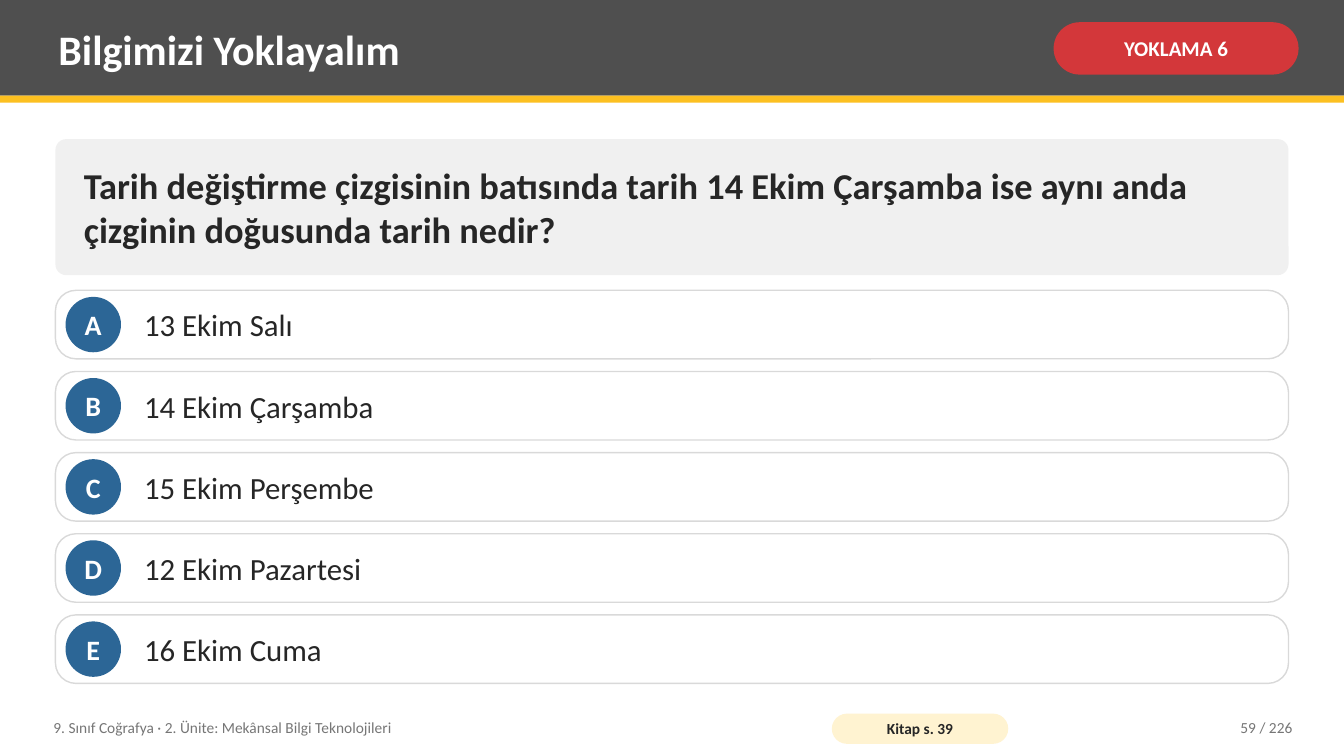
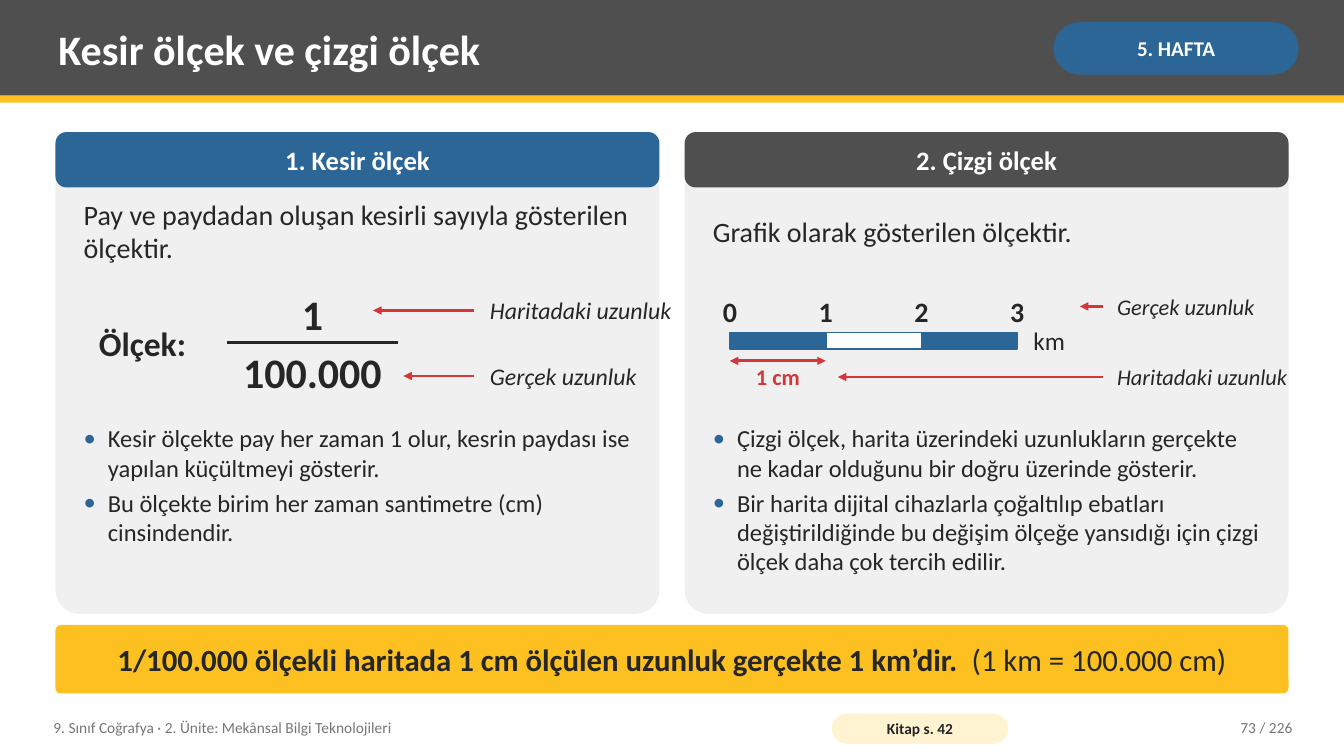
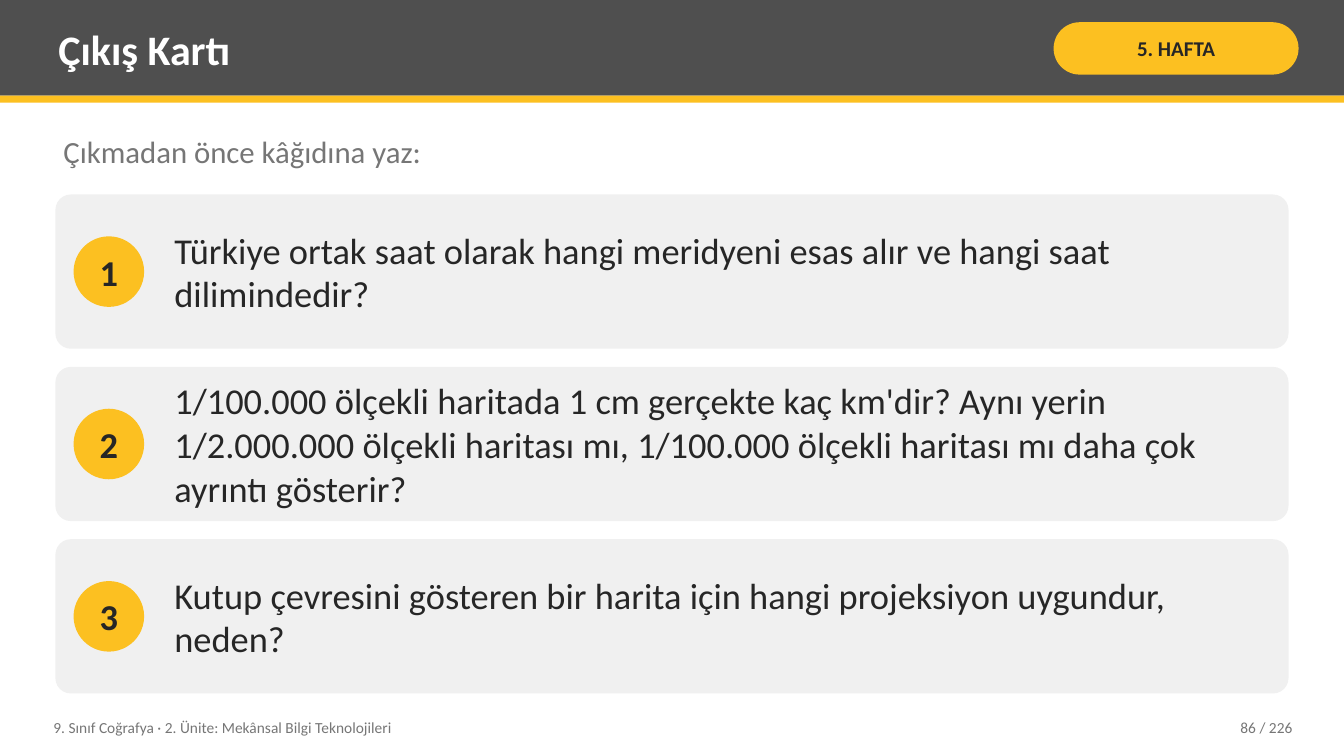
from lxml import etree
from pptx import Presentation
from pptx.dml.color import RGBColor
from pptx.enum.shapes import MSO_CONNECTOR, MSO_SHAPE
from pptx.enum.text import MSO_ANCHOR, MSO_AUTO_SIZE, PP_ALIGN
from pptx.oxml.ns import qn
from pptx.util import Inches, Pt

RECT, ROUND, OVAL = MSO_SHAPE.RECTANGLE, MSO_SHAPE.ROUNDED_RECTANGLE, MSO_SHAPE.OVAL
LINE = MSO_CONNECTOR.STRAIGHT
LEFT, MID, RIGHT = PP_ALIGN.LEFT, PP_ALIGN.CENTER, PP_ALIGN.RIGHT
TOP, CENTER, BOTTOM = MSO_ANCHOR.TOP, MSO_ANCHOR.MIDDLE, MSO_ANCHOR.BOTTOM
FIXED = MSO_AUTO_SIZE.NONE

rgb = RGBColor.from_string
FONT = "Calibri"
INK, DARK, GREY, PALE = "262626", "4F4F4F", "767676", "F0F0F0"
RULE, WHITE, CREAM = "D9D9D9", "FFFFFF", "FFF3D1"
BLUE, GOLD, RED = "2C6696", "FCC021", "D3373A"
EDGE, WIDE = 0.55, 12.23
TOTAL = 226


def box(slide, kind, at, fill=None, round=None, line=None, width=1):
    """Add a preset shape, or a text box when kind is None."""
    place = [Inches(n) for n in at]
    if kind is None:
        return slide.shapes.add_textbox(*place)
    shape = slide.shapes.add_shape(kind, *place)
    shape.shadow.inherit = False
    shape.fill.solid()
    shape.fill.fore_color.rgb = rgb(fill)
    if line:
        shape.line.color.rgb = rgb(line)
        shape.line.width = Pt(width)
    else:
        shape.line.fill.background()
    if round is not None:
        shape.adjustments[0] = round
    return shape


def write(shape, runs, size, color=INK, bold=False, italic=False,
          align=LEFT, anchor=CENTER, inset=(0.08, 0.04), para=None):
    """Set up the frame and add runs (a string, or text and bold pairs)."""
    frame = shape.text_frame
    frame.word_wrap = True
    frame.auto_size = FIXED
    frame.vertical_anchor = anchor
    frame.margin_left = frame.margin_right = Inches(inset[0])
    frame.margin_top = frame.margin_bottom = Inches(inset[1])
    para = para or frame.paragraphs[0]
    para.alignment = align
    para.space_before = Pt(0)
    for text, heavy in [(runs, bold)] if isinstance(runs, str) else runs:
        run = para.add_run()
        run.text = text
        run.font.name = FONT
        run.font.size = Pt(size)
        run.font.bold = heavy
        run.font.italic = italic
        run.font.color.rgb = rgb(color)


prs = Presentation()
prs.slide_width, prs.slide_height = Inches(13.33), Inches(7.5)
ONE, TWO = prs.slide_layouts[5], prs.slide_layouts[3]

# Shared frame: bands, title, badge and footer
decks = [
    (ONE, "Bilgimizi Yoklayalım", "YOKLAMA 6", RED, WHITE, "Kitap s. 39", 59),
    (TWO, "Kesir ölçek ve çizgi ölçek", "5. HAFTA", BLUE, WHITE, "Kitap s. 42", 73),
    (ONE, "Çıkış Kartı", "5. HAFTA", GOLD, INK, None, 86),
]
slides = []
for layout, name, badge, fill, color, book, page in decks:
    slide = prs.slides.add_slide(layout)
    slides.append(slide)
    box(slide, RECT, (0, 0, 13.33, 0.95), DARK)
    box(slide, RECT, (0, 0.95, 13.33, 0.07), GOLD)

    title = slide.shapes.title
    title.left, title.top = Inches(0.5), Inches(0.07)
    title.width, title.height = Inches(9.75), Inches(0.82)
    write(title, name, 30, WHITE, bold=True)
    slide.shapes.element.append(title.element)  # bring in front of the bands

    pill = box(slide, ROUND, (10.45, 0.22, 2.43, 0.52), fill, 0.5)
    write(pill, badge, 15, color, bold=True, align=MID, inset=(0.05, 0.02))

    unit = box(slide, None, (0.45, 7.04, 7.6, 0.36))
    write(unit, "9. Sınıf Coğrafya · 2. Ünite: Mekânsal Bilgi Teknolojileri", 11, GREY)
    if book:
        pill = box(slide, ROUND, (8.25, 7.08, 1.75, 0.3), CREAM, 0.5)
        write(pill, book, 11, bold=True, align=MID, inset=(0.04, 0))
    count = box(slide, None, (11.3, 7.04, 1.6, 0.36))
    write(count, f"{page} / {TOTAL}", 11, GREY, align=RIGHT)

quiz, scale, leave = slides

# Slide 1: question and five options
ask = box(quiz, ROUND, (EDGE, 1.38, WIDE, 1.35), PALE, 0.08)
write(ask, "Tarih değiştirme çizgisinin batısında tarih 14 Ekim Çarşamba ise aynı anda "
      "çizginin doğusunda tarih nedir?", 26, bold=True, inset=(0.25, 0.08))

picks = ["13 Ekim Salı", "14 Ekim Çarşamba", "15 Ekim Perşembe",
         "12 Ekim Pazartesi", "16 Ekim Cuma"]
high, disc = 0.68, 0.55
step = (6.1 - 2.88) / (len(picks) - 1)
for i, pick in enumerate(picks):
    top = 2.88 + i * step
    box(quiz, ROUND, (EDGE, top, WIDE, high), WHITE, 0.3, RULE)
    mark = box(quiz, OVAL, (0.65, top + (high - disc) / 2, disc, disc), BLUE)
    write(mark, "ABCDE"[i], 20, WHITE, bold=True, align=MID, inset=(0, 0))
    write(box(quiz, None, (1.35, top, 11.23, high)), pick, 22)

# Slide 2: two cards with intro and list
cards = [
    (EDGE, BLUE, "1. Kesir ölçek", "Pay ve paydadan oluşan kesirli sayıyla gösterilen ölçektir.",
     ["Kesir ölçekte pay her zaman 1 olur, kesrin paydası ise yapılan küçültmeyi gösterir.",
      "Bu ölçekte birim her zaman santimetre (cm) cinsindendir."]),
    (6.79, DARK, "2. Çizgi ölçek", "Grafik olarak gösterilen ölçektir.",
     ["Çizgi ölçek, harita üzerindeki uzunlukların gerçekte ne kadar olduğunu bir doğru "
      "üzerinde gösterir.",
      "Bir harita dijital cihazlarla çoğaltılıp ebatları değiştirildiğinde bu değişim ölçeğe "
      "yansıdığı için çizgi ölçek daha çok tercih edilir."]),
]
for i, (left, fill, head, intro, points) in enumerate(cards):
    box(scale, ROUND, (left, 1.31, 5.99, 4.78), PALE, 0.05)
    bar = box(scale, ROUND, (left, 1.31, 5.99, 0.55), fill, 0.2)
    write(bar, head, 19, WHITE, bold=True, align=MID, inset=(0.14, 0.08))
    write(box(scale, None, (left + 0.2, 1.9, 5.59, 0.78)), intro, 20)

    body = scale.placeholders[i + 1]
    body.left, body.top = Inches(left + 0.2), Inches(4.16)
    body.width, body.height = Inches(5.59), Inches(1.88)
    scale.shapes.element.append(body.element)  # bring in front of the card
    for j, point in enumerate(points):
        para = body.text_frame.add_paragraph() if j else body.text_frame.paragraphs[0]
        props = para._p.get_or_add_pPr()
        props.set("marL", str(Inches(0.24)))
        props.set("indent", str(-Inches(0.24)))
        tint = etree.SubElement(props, qn("a:buClr"))
        etree.SubElement(tint, qn("a:srgbClr"), val=BLUE)
        etree.SubElement(props, qn("a:buFont"), typeface=FONT)
        etree.SubElement(props, qn("a:buChar"), char="•")
        write(body, point, 17.5, anchor=TOP, para=para)
        para.space_after = Pt(4)

# Fraction
write(box(scale, None, (0.9, 3.1, 1.25, 0.6)), "Ölçek:", 24, bold=True)
for text, top, anchor in [("1", 2.78, BOTTOM), ("100.000", 3.44, TOP)]:
    part = box(scale, None, (2.15, top, 1.9, 0.58))
    write(part, text, 30, bold=True, align=MID, anchor=anchor, inset=(0.08, 0))

# Scale bar
start, cell = 7.24, 0.95
for i, fill in enumerate([BLUE, WHITE, BLUE]):
    box(scale, RECT, (start + i * cell, 3.3, cell, 0.16), fill, line=BLUE, width=1.25)
for i in range(4):
    tick = box(scale, None, (start + i * cell - 0.5, 2.82, 1, 0.44))
    write(tick, str(i), 20, bold=True, align=MID, anchor=BOTTOM, inset=(0.08, 0))
write(box(scale, None, (10.17, 3.18, 0.7, 0.4)), "km", 18)
span = box(scale, None, (start, 3.6, cell, 0.36))
write(span, "1 cm", 16, RED, bold=True, align=MID, anchor=TOP, inset=(0, 0))

# Labels beside the arrows
for text, left, top, size in [
    ("Haritadaki uzunluk", 4.78, 2.88, 17),
    ("Gerçek uzunluk", 4.78, 3.53, 17),
    ("Gerçek uzunluk", 11, 2.84, 16),
    ("Haritadaki uzunluk", 11, 3.54, 16),
]:
    write(box(scale, None, (left, top, 2.3, 0.4)), text, size, italic=True)

# Fraction line and arrows: from x, to x, y, colour, width, arrow ends
for x1, x2, y, color, width, ends in [
    (2.25, 3.95, 3.4, INK, 2.5, []),
    (4.7, 3.7, 3.08, RED, 2, ["tailEnd"]),
    (4.7, 4, 3.73, RED, 2, ["tailEnd"]),
    (start, start + cell, 3.58, RED, 2, ["headEnd", "tailEnd"]),
    (10.94, 10.71, 3.04, RED, 2, ["tailEnd"]),
    (10.94, 8.31, 3.74, RED, 2, ["tailEnd"]),
]:
    link = scale.shapes.add_connector(LINE, Inches(x1), Inches(y), Inches(x2), Inches(y))
    link.line.color.rgb = rgb(color)
    link.line.width = Pt(width)
    for end in ends:
        etree.SubElement(link.line._get_or_add_ln(), qn(f"a:{end}"), type="triangle")
    etree.SubElement(link._element.spPr, qn("a:effectLst"))

note = box(scale, ROUND, (EDGE, 6.2, WIDE, 0.68), GOLD, 0.08)
write(note, [("1/100.000 ölçekli haritada 1 cm ölçülen uzunluk gerçekte 1 km’dir.", True),
             ("  (1 km = 100.000 cm)", False)], 22, align=MID, inset=(0.25, 0.08))

# Slide 3: three exit questions
lead = box(leave, None, (EDGE, 1.28, WIDE, 0.55))
write(lead, "Çıkmadan önce kâğıdına yaz:", 22, GREY, anchor=TOP)
tasks = [
    "Türkiye ortak saat olarak hangi meridyeni esas alır ve hangi saat dilimindedir?",
    "1/100.000 ölçekli haritada 1 cm gerçekte kaç km'dir? Aynı yerin 1/2.000.000 ölçekli "
    "haritası mı, 1/100.000 ölçekli haritası mı daha çok ayrıntı gösterir?",
    "Kutup çevresini gösteren bir harita için hangi projeksiyon uygundur, neden?",
]
high, disc = 1.53, 0.7
for i, task in enumerate(tasks):
    top = 1.93 + i * (high + 0.18)
    box(leave, ROUND, (EDGE, top, WIDE, high), PALE, 0.1)
    mark = box(leave, OVAL, (0.73, top + (high - disc) / 2, disc, disc), GOLD)
    write(mark, str(i + 1), 26, bold=True, align=MID, inset=(0, 0))
    write(box(leave, None, (1.65, top, 10.93, high)), task, 26)

prs.save("out.pptx")
